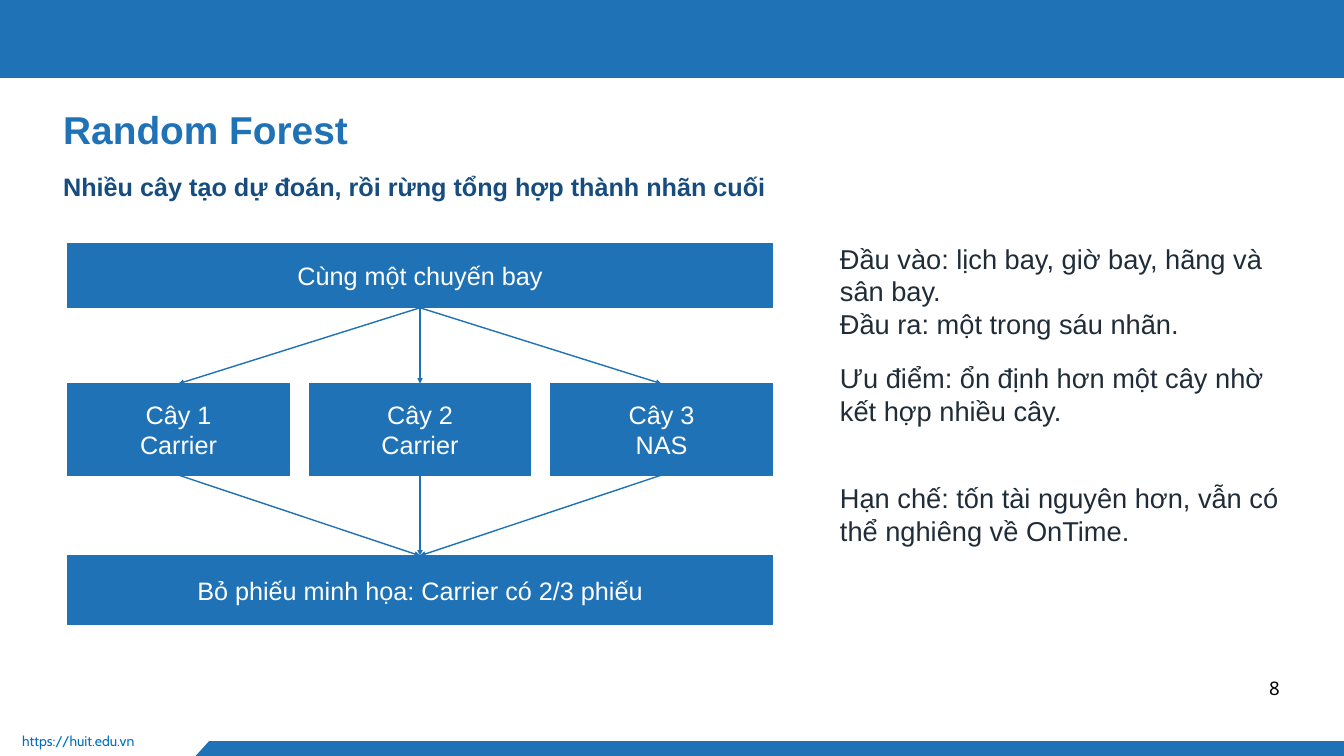
from lxml.etree import SubElement
from pptx import Presentation
from pptx.dml.color import RGBColor
from pptx.enum.shapes import MSO_CONNECTOR as Conn, MSO_SHAPE as Shape
from pptx.enum.text import MSO_ANCHOR as Anchor, MSO_AUTO_SIZE as Auto, PP_ALIGN as Align
from pptx.oxml.ns import qn
from pptx.util import Inches, Pt

BLUE = RGBColor(0x20, 0x72, 0xB7)
NAVY = RGBColor(0x17, 0x4C, 0x7E)
LINK = RGBColor(0x00, 0x70, 0xC0)
INK = RGBColor(0x20, 0x2D, 0x39)
BLACK = RGBColor(0, 0, 0)
WHITE = RGBColor(0xFF, 0xFF, 0xFF)

LEFT, WIDE, GAP = 1.01, 10.48, 0.3
TREES = ["Cây 1\nCarrier", "Cây 2\nCarrier", "Cây 3\nNAS"]
NOTES = [
    "Đầu vào: lịch bay, giờ bay, hãng và sân bay.\nĐầu ra: một trong sáu nhãn.",
    "Ưu điểm: ổn định hơn một cây nhờ kết hợp nhiều cây.",
    "Hạn chế: tốn tài nguyên hơn, vẫn có thể nghiêng về OnTime.",
]


def set_text(shape, text, size, color, lead, font="Arial", bold=False,
             align=Align.LEFT, anchor=Anchor.TOP, inset=0, wrap=True):
    frame = shape.text_frame
    frame.text = text
    frame.word_wrap = wrap
    frame.auto_size = Auto.NONE
    frame.vertical_anchor = anchor
    frame.margin_left = frame.margin_right = Inches(inset)
    frame.margin_top = frame.margin_bottom = Inches(inset)
    for par in frame.paragraphs:
        par.alignment = align
        par.line_spacing = Pt(lead)
        par.space_before = Pt(0)
        for run in par.runs:
            run.font.name = font
            run.font.size = Pt(size)
            run.font.bold = bold
            run.font.color.rgb = color


def add_text(slide, box, text, size, color, lead, **style):
    shape = slide.shapes.add_textbox(*map(Inches, box))
    set_text(shape, text, size, color, lead, **style)


def fill_blue(shape):
    shape.shadow.inherit = False
    shape.fill.solid()
    shape.fill.fore_color.rgb = BLUE
    shape.line.fill.background()


def add_block(slide, box, text=""):
    shape = slide.shapes.add_shape(Shape.RECTANGLE, *map(Inches, box))
    fill_blue(shape)
    if text:
        shape.line.color.rgb = BLUE
        shape.line.width = Pt(1.13)
        set_text(shape, text, 27, WHITE, 32.4, align=Align.CENTER,
                 anchor=Anchor.MIDDLE, inset=0.06)
    return shape


def add_arrow(slide, upper, lower):
    """Join the bottom of one block to the top of another."""
    arrow = slide.shapes.add_connector(Conn.STRAIGHT, 0, 0, 0, 0)
    arrow.begin_connect(upper, 2)
    arrow.end_connect(lower, 0)
    arrow.line.color.rgb = BLUE
    arrow.line.width = Pt(1.5)
    SubElement(arrow.line._get_or_add_ln(), qn("a:tailEnd"), type="triangle")
    SubElement(arrow._element.spPr, qn("a:effectLst"))


def add_frame(slide):
    # Top band, slanted footer band, address and page number
    add_block(slide, (0, 0, 20, 1.16))
    pen = slide.shapes.build_freeform(Inches(3.11), Inches(11.03))
    pen.add_line_segments([(Inches(x), Inches(y)) for x, y in
                           [(20, 11.03), (20, 11.25), (2.91, 11.25)]])
    fill_blue(pen.convert_to_shape())
    add_text(slide, (0.33, 10.9, 2.47, 0.3), "https://huit.edu.vn",
             15, LINK, 18, font="Cabin")
    add_text(slide, (18.88, 10.02, 0.17, 0.4), "8", 20, BLACK, 28,
             font="Noto Sans", align=Align.CENTER, wrap=False)


def add_title(slide):
    title = slide.shapes.title
    title.left, title.top, title.width, title.height = map(
        Inches, (0.94, 1.58, 18.12, 0.92))
    set_text(title, "Random Forest", 41.6, BLUE, 49.9, bold=True)
    add_text(slide, (0.94, 2.55, 18.12, 0.73),
             "Nhiều cây tạo dự đoán, rồi rừng tổng hợp thành nhãn cuối",
             27, NAVY, 32.4, bold=True)


def add_forest(slide):
    # One input, a row of trees, one vote
    start = add_block(slide, (LEFT, 3.63, WIDE, 0.95), "Cùng một chuyến bay")
    vote = add_block(slide, (LEFT, 8.27, WIDE, 1.03),
                     "Bỏ phiếu minh họa: Carrier có 2/3 phiếu")
    count = len(TREES)
    width = (WIDE - GAP * (count - 1)) / count
    for i, text in enumerate(TREES):
        left = LEFT + i * (width + GAP)
        tree = add_block(slide, (left, 5.71, width, 1.36), text)
        add_arrow(slide, start, tree)
        add_arrow(slide, tree, vote)


def add_notes(slide):
    for i, text in enumerate(NOTES):
        add_text(slide, (12.5, 3.6 + i * 1.78, 6.56, 1.53), text, 29.2, INK, 35.1)


def main():
    deck = Presentation()
    deck.slide_width, deck.slide_height = Inches(20), Inches(11.25)
    slide = deck.slides.add_slide(deck.slide_layouts[5])
    add_frame(slide)
    add_title(slide)
    add_forest(slide)
    add_notes(slide)
    deck.save("out.pptx")


if __name__ == "__main__":
    main()
